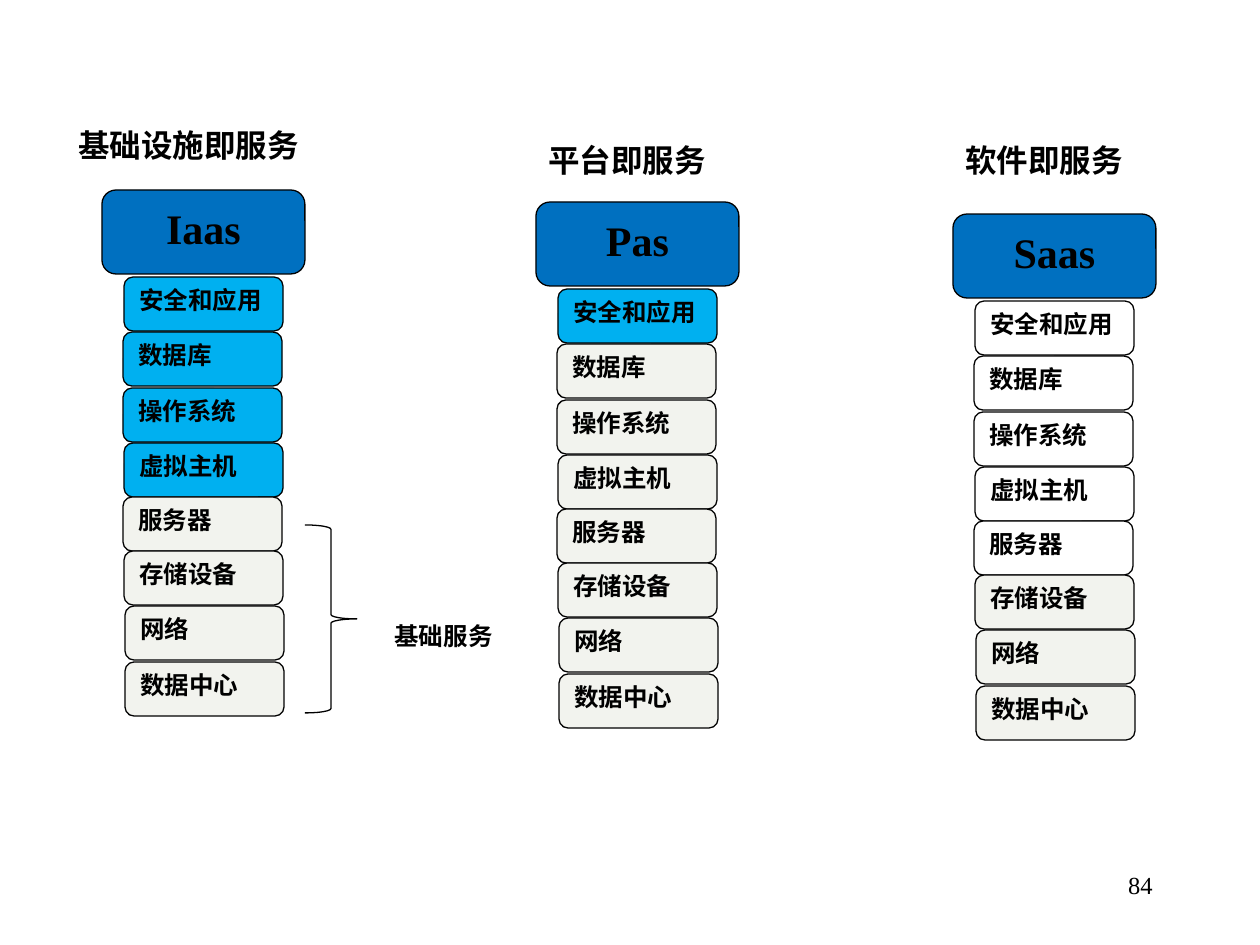
from dataclasses import dataclass
from typing import NamedTuple

from lxml import etree
from pptx import Presentation
from pptx import util as u
from pptx.dml.color import RGBColor
from pptx.enum import shapes, text

PX_PER_INCH = 126


@dataclass(frozen=True)
class Theme:
    font: str = "Times New Roman"
    ink: str = "000000"
    paper: str = "FFFFFF"
    header: str = "0070C0"
    customer: str = "00B0F0"
    provider: str = "F2F3EE"
    header_size: int = 24
    caption_size: int = 18
    body_size: int = 14
    line: float = 0.75


class Box(NamedTuple):
    left: int
    top: int
    width: int
    height: int


class Layer(NamedTuple):
    name: str
    dx: int
    dy: int


class Model(NamedTuple):
    name: str
    left: int
    top: int
    upper_fill: str
    upper_count: int
    caption: str
    caption_left: int
    caption_top: int


THEME = Theme()
LAYERS = [
    Layer("安全和应用", 22, 87),
    Layer("数据库", 21, 142),
    Layer("操作系统", 21, 198),
    Layer("虚拟主机", 22, 253),
    Layer("服务器", 21, 307),
    Layer("存储设备", 22, 361),
    Layer("网络", 23, 416),
    Layer("数据中心", 23, 472),
]
MODELS = [
    Model("Iaas", 102, 190, THEME.customer, 4, "基础设施即服务", 66, 125),
    Model("Pas", 536, 202, THEME.customer, 1, "平台即服务", 536, 140),
    Model("Saas", 953, 214, THEME.paper, 5, "软件即服务", 953, 140),
]


def px(length: int) -> u.Emu:
    return u.Emu(round(length * u.Inches(1) / PX_PER_INCH))


def write(shape, words: str, size: int, align, bold: bool = True) -> None:
    shape.text_frame.text = words
    paragraph = shape.text_frame.paragraphs[0]
    paragraph.alignment = align
    font = paragraph.runs[0].font
    font.name = THEME.font
    font.size = u.Pt(size)
    font.bold = bold
    font.color.rgb = RGBColor.from_string(THEME.ink)


def draw_outlined(slide, kind, box: Box, fill: str):
    shape = slide.shapes.add_shape(kind, *map(px, box))
    shape.shadow.inherit = False
    shape.fill.solid()
    shape.fill.fore_color.rgb = RGBColor.from_string(fill)
    shape.line.color.rgb = RGBColor.from_string(THEME.ink)
    shape.line.width = u.Pt(THEME.line)
    return shape


def draw_block(slide, box: Box, fill: str, words: str, size: int, align) -> None:
    block = draw_outlined(slide, shapes.MSO_SHAPE.ROUNDED_RECTANGLE, box, fill)
    frame = block.text_frame
    frame.vertical_anchor = text.MSO_ANCHOR.MIDDLE
    frame.margin_top, frame.margin_bottom = px(0), px(8)
    write(block, words, size, align)


def draw_text(slide, box: Box, words: str, size: int, inset: int,
              align=text.PP_ALIGN.LEFT, bold: bool = True) -> None:
    label = slide.shapes.add_textbox(*map(px, box))
    label.text_frame.word_wrap = True
    label.text_frame.margin_top = px(inset)
    write(label, words, size, align, bold)


def draw_model(slide, model: Model) -> None:
    draw_block(slide, Box(model.left, model.top, 203, 84), THEME.header,
               model.name, THEME.header_size, text.PP_ALIGN.CENTER)
    for index, layer in enumerate(LAYERS):
        fill = model.upper_fill if index < model.upper_count else THEME.provider
        box = Box(model.left + layer.dx, model.top + layer.dy, 159, 54)
        draw_block(slide, box, fill, layer.name, THEME.body_size, text.PP_ALIGN.LEFT)


def main() -> None:
    deck = Presentation()
    deck.slide_width, deck.slide_height = u.Inches(10), u.Inches(7.5)
    slide = deck.slides.add_slide(deck.slide_layouts[6])
    draw_text(slide, Box(903, 861, 262, 63), "84", THEME.body_size, 9,
              text.PP_ALIGN.RIGHT, bold=False)
    for model in MODELS:
        draw_model(slide, model)
    draw_outlined(slide, shapes.MSO_SHAPE.RIGHT_BRACE, Box(305, 525, 52, 188), THEME.paper)
    draw_text(slide, Box(382, 619, 134, 43), "基础服务", THEME.body_size, 2)
    for model in MODELS:
        draw_text(slide, Box(model.caption_left, model.caption_top, 316, 50),
                  model.caption, THEME.caption_size, 1)
    deck.save("out.pptx")


if __name__ == "__main__":
    main()
